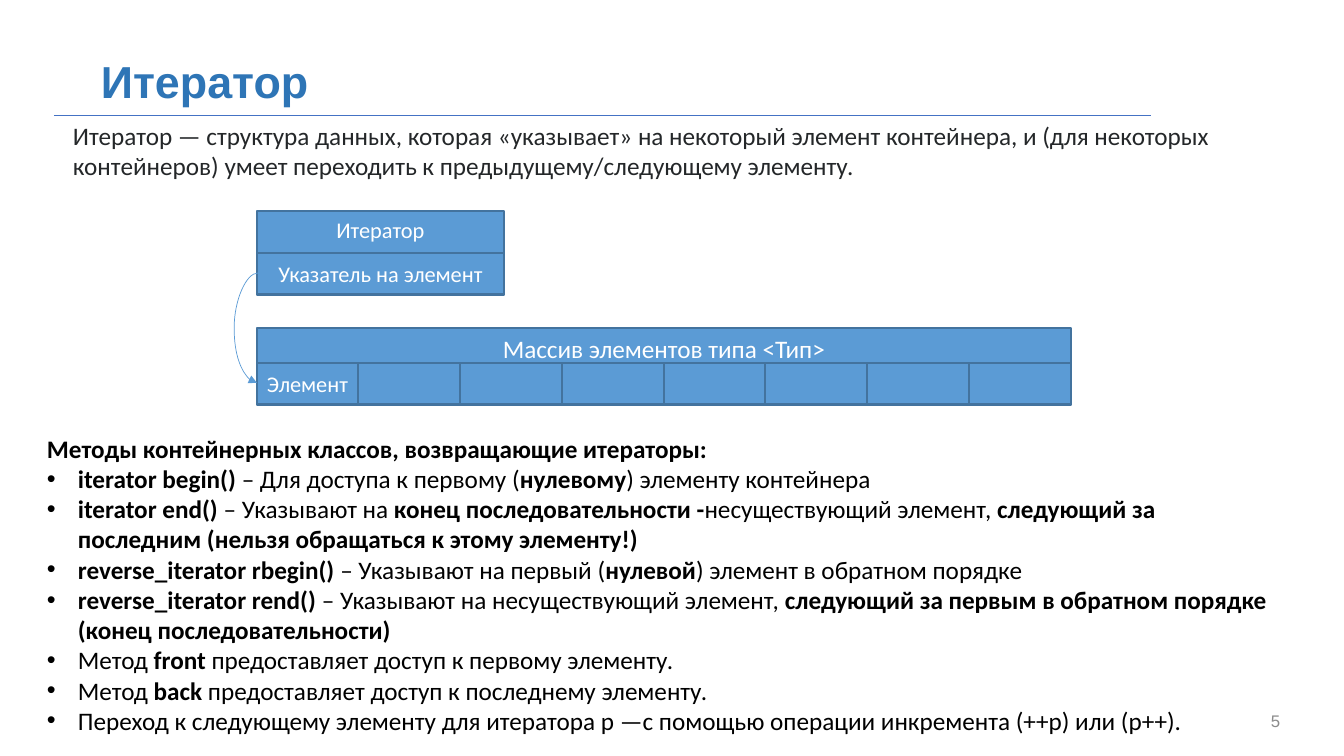
from dataclasses import dataclass

from lxml.etree import SubElement
from pptx import Presentation
from pptx.dml.color import RGBColor as Rgb
from pptx.enum.shapes import MSO_CONNECTOR as Link, MSO_SHAPE as Form
from pptx.enum.text import MSO_ANCHOR as Anchor, MSO_AUTO_SIZE as Fit, PP_ALIGN as Align
from pptx.oxml.ns import qn
from pptx.util import Emu, Pt


@dataclass(frozen=True)
class Theme:
    """Colours, fonts and type sizes of the slide."""
    title: str = "2E75B6"
    rule: str = "4472C4"
    fill: str = "5B9BD5"
    edge: str = "43739E"
    intro: str = "242729"
    ink: str = "000000"
    light: str = "FFFFFF"
    number: str = "8C8C8C"
    heading_font: str = "Arial"
    body_font: str = "Calibri"
    heading: int = 32
    body: int = 18
    label: int = 16
    small: int = 12


THEME = Theme()
EMU_PER_PX = 914400 / 100.8
BULLET_INDENT = 31
CELL_COUNT = 8
INTRO = ("Итератор — структура данных, которая «указывает» на некоторый элемент контейнера, "
         "и (для некоторых контейнеров) умеет переходить к предыдущему/следующему элементу.")
METHODS_HEADING = "**Методы контейнерных классов, возвращающие итераторы:**"
METHODS = [
    "**iterator begin() **– Для доступа к первому (**нулевому**) элементу контейнера",
    "**iterator end()** – Указывают на **конец последовательности -**несуществующий элемент, "
    "**следующий за последним (нельзя обращаться к этому элементу!)**",
    "**reverse_iterator rbegin()** – Указывают на первый (**нулевой**) элемент в обратном порядке",
    "**reverse_iterator rend()** – Указывают на несуществующий элемент, "
    "**следующий за первым в обратном порядке (конец последовательности)**",
    "Метод **front **предоставляет доступ к первому элементу.",
    "Метод **back **предоставляет доступ к последнему элементу.",
    "Переход к следующему элементу для итератора p —с помощью операции инкремента (++p) или (p++).",
]


def px(*lengths):
    """Turn pixel lengths into EMU."""
    return [Emu(round(length * EMU_PER_PX)) for length in lengths]


def set_values(target, values):
    """Set every attribute of the target from a dict."""
    for name, value in values.items():
        setattr(target, name, value)


def type_style(size, color, font=THEME.body_font, bold=False):
    """Collect the format values of a run of text."""
    return {"size": Pt(size), "name": font, "bold": bold, "color": color}


def write_runs(para, text, style):
    """Write text into a paragraph, with bold parts between double asterisks."""
    values = {name: value for name, value in style.items() if name != "color"}
    for index, part in enumerate(text.split("**")):
        if part:
            span = para.add_run()
            span.text = part
            set_values(span.font, {**values, "bold": style["bold"] or index % 2 == 1})
            span.font.color.rgb = Rgb.from_string(style["color"])


def add_bullet(para):
    """Give a paragraph a round bullet and a hanging indent."""
    (indent,) = px(BULLET_INDENT)
    properties = para._p.get_or_add_pPr()
    properties.set("marL", str(indent))
    properties.set("indent", str(-indent))
    SubElement(properties, qn("a:buFont")).set("typeface", "Arial")
    SubElement(properties, qn("a:buChar")).set("char", "•")


def add_text(page, place, text, style, align=Align.LEFT, **frame_values):
    """Add a wrapping text box with one paragraph and return its frame."""
    frame = page.shapes.add_textbox(*px(*place)).text_frame
    set_values(frame, {"word_wrap": True, **frame_values})
    para = frame.paragraphs[0]
    para.alignment = align
    write_runs(para, text, style)
    return frame


def add_block(page, place, text="", size=THEME.label, anchor=Anchor.MIDDLE):
    """Add a blue rectangle with a centred label."""
    block = page.shapes.add_shape(Form.RECTANGLE, *px(*place))
    block.shadow.inherit = False
    block.fill.solid()
    block.fill.fore_color.rgb = Rgb.from_string(THEME.fill)
    block.line.color.rgb = Rgb.from_string(THEME.edge)
    block.line.width = Pt(1)
    set_values(block.text_frame, {"word_wrap": False, "vertical_anchor": anchor})
    para = block.text_frame.paragraphs[0]
    para.alignment = Align.CENTER
    write_runs(para, text, type_style(size, THEME.light))


def add_line(page, kind, ends, color):
    """Add a thin connector without a shadow."""
    line = page.shapes.add_connector(kind, *px(*ends))
    line.line.color.rgb = Rgb.from_string(color)
    line.line.width = Pt(0.5)
    SubElement(line._element.spPr, qn("a:effectLst"))
    return line


def add_curved_arrow(page, ends, bulge):
    """Add a curved arrow that swings out to the left by the bulge."""
    arrow = add_line(page, Link.CURVE, ends, THEME.fill)
    SubElement(arrow.line._get_or_add_ln(), qn("a:tailEnd")).set("type", "triangle")
    width = abs(ends[2] - ends[0])
    guide = SubElement(arrow._element.spPr.prstGeom.get_or_add_avLst(), qn("a:gd"))
    guide.set("name", "adj1")
    guide.set("fmla", f"val {bulge * 100000 // width}")


def add_diagram(page):
    """Draw the iterator, the array and the arrow between them."""
    left, array_width, row_height = 257, 814, 41
    array_top, cell_top, iterator_top, pointer_top = 328, 363, 211, 253
    add_block(page, (left, array_top, array_width, 77), "Массив элементов типа <Тип>",
              THEME.body, Anchor.TOP)
    edges = [left + array_width * index // CELL_COUNT for index in range(CELL_COUNT + 1)]
    for index, (start, end) in enumerate(zip(edges, edges[1:])):
        label = "" if index else "Элемент"
        add_block(page, (start, cell_top, end - start, row_height), label)
    add_block(page, (left, iterator_top, 247, 84), "Итератор", anchor=Anchor.TOP)
    add_block(page, (left, pointer_top, 247, row_height), "Указатель на элемент")
    middle = row_height // 2
    add_curved_arrow(page, (left + 1, pointer_top + middle, left, cell_top + middle), 24)


def add_methods(page):
    """Add the bulleted list of container methods."""
    style = type_style(THEME.body, THEME.ink)
    frame = add_text(page, (37, 428, 1254, 316), METHODS_HEADING, style,
                     auto_size=Fit.SHAPE_TO_FIT_TEXT)
    for method in METHODS:
        para = frame.add_paragraph()
        add_bullet(para)
        write_runs(para, method, style)


def main():
    """Build the slide and save it."""
    deck = Presentation()
    deck.slide_width, deck.slide_height = px(1344, 756)
    page = deck.slides.add_slide(deck.slide_layouts[6])
    add_text(page, (91, 53, 852, 55), "Итератор",
             type_style(THEME.heading, THEME.title, THEME.heading_font, True),
             vertical_anchor=Anchor.MIDDLE)
    add_line(page, Link.STRAIGHT, (54, 115, 1151, 115), THEME.rule)
    add_text(page, (1159, 701, 131, 40), "5",
             type_style(THEME.small, THEME.number, THEME.heading_font),
             Align.RIGHT, vertical_anchor=Anchor.MIDDLE)
    add_text(page, (63, 115, 1215, 72), INTRO, type_style(THEME.body, THEME.intro),
             auto_size=Fit.SHAPE_TO_FIT_TEXT)
    add_diagram(page)
    add_methods(page)
    deck.save("out.pptx")


if __name__ == "__main__":
    main()
